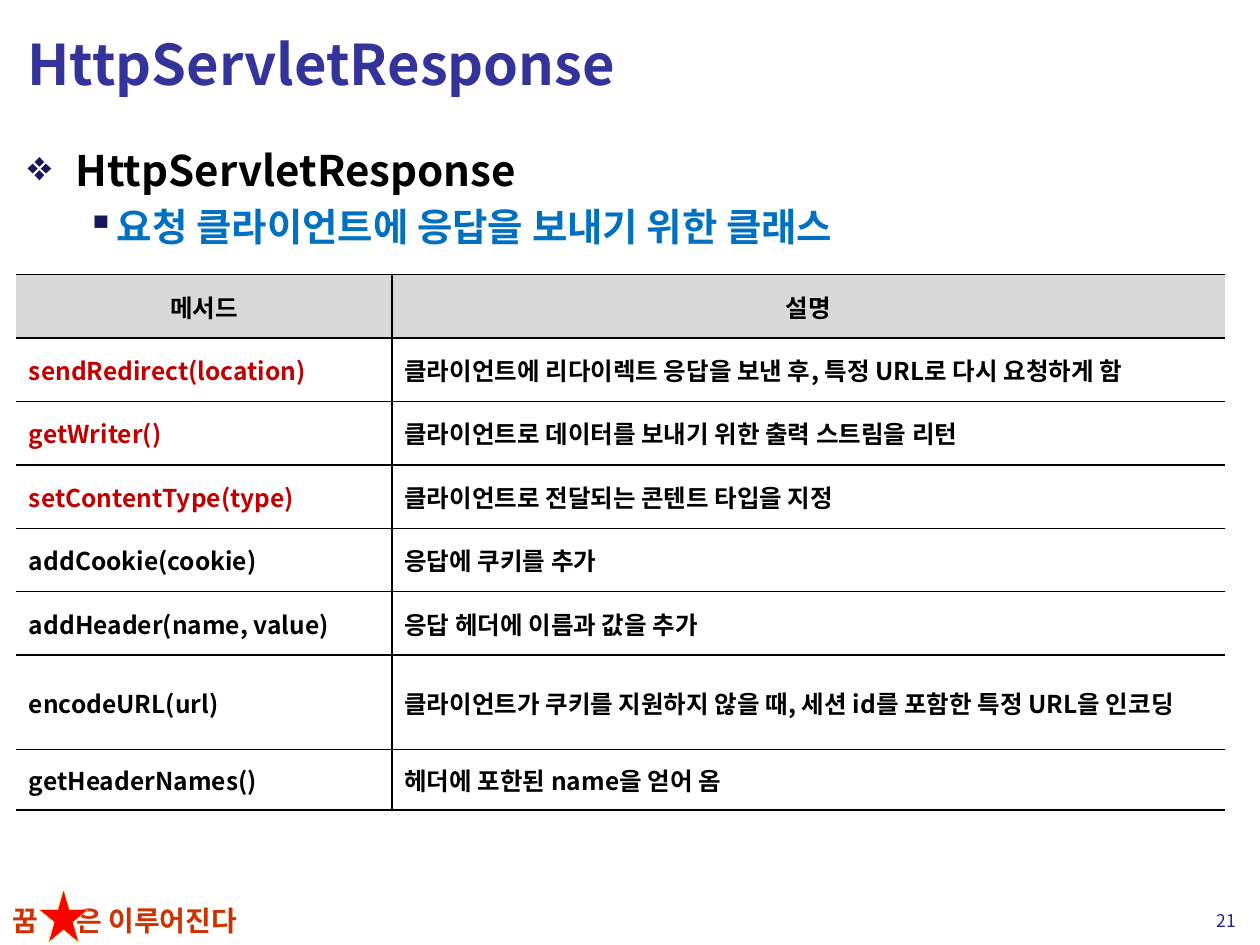
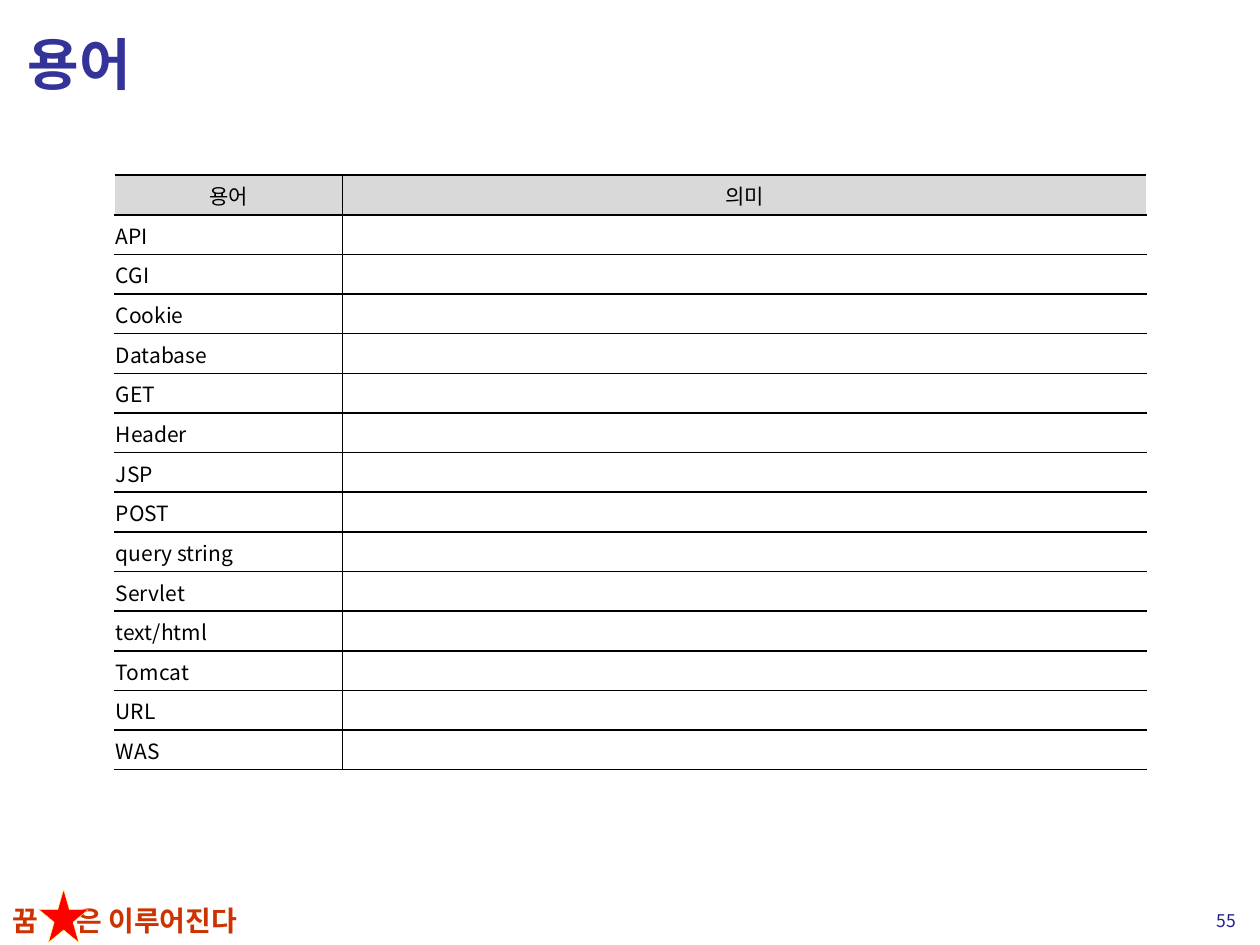
from dataclasses import dataclass
from typing import NamedTuple

from lxml.etree import SubElement
from pptx import Presentation
from pptx.dml.color import RGBColor
from pptx.enum.shapes import MSO_SHAPE as Shape
from pptx.enum.text import MSO_ANCHOR as Anchor, PP_ALIGN as Align
from pptx.oxml import parse_xml
from pptx.oxml.ns import nsdecls, qn
from pptx.util import Inches, Pt


@dataclass(frozen=True)
class Theme:
    font: str = "Noto Sans CJK KR"
    title: str = "333399"
    ink: str = "000000"
    paper: str = "FFFFFF"
    head: str = "D9D9D9"
    key: str = "C00000"
    note: str = "0070C0"
    bullet: str = "17175C"
    motto: str = "CC3300"
    star: str = "FF0000"
    edge: str = "FFFF66"
    page: str = "22228B"
    title_pt: int = 32
    topic_pt: int = 24
    note_pt: int = 22
    motto_pt: int = 16
    cell_pt: int = 14
    term_pt: int = 12
    page_pt: int = 10


T = Theme()


class Box(NamedTuple):
    left: float
    top: float
    width: float
    height: float

    def emu(self) -> list:
        return [Inches(n) for n in self]


class Style(NamedTuple):
    size: int
    color: str
    bold: bool = False
    align: Align = Align.LEFT


class Point(NamedTuple):
    text: str
    style: Style
    mark: str
    margin: float
    indent: float
    before: float


class Grid(NamedTuple):
    box: Box
    cols: list
    heights: list
    rows: list
    style: Style
    pads: tuple  # left, top, right, bottom
    fill: str = ""
    side: str = ""  # colour of the outer left and right edges
    keys: int = 0  # rows whose first cell is set in the key colour


def rgb(code: str) -> RGBColor:
    return RGBColor.from_string(code)


def write(para, text: str, style: Style) -> None:
    para.alignment = style.align
    run = para.add_run()
    run.text = text
    form = {"name": T.font, "size": Pt(style.size), "bold": style.bold}
    for name, value in form.items():
        setattr(run.font, name, value)
    run.font.color.rgb = rgb(style.color)
    SubElement(run.font._element, qn("a:ea"), typeface=T.font)


def add_box(slide, box: Box, anchor: Anchor = Anchor.TOP):
    frame = slide.shapes.add_textbox(*box.emu()).text_frame
    frame.word_wrap = True
    frame.vertical_anchor = anchor
    return frame


def add_motto(slide) -> None:
    para = add_box(slide, Box(0, 7.12, 2.48, 0.37)).paragraphs[0]
    tabs = SubElement(para._p.get_or_add_pPr(), qn("a:tabLst"))
    SubElement(tabs, qn("a:tab"), pos=str(Inches(0.51)), algn="l")
    write(para, "꿈\t은 이루어진다", Style(T.motto_pt, T.motto, True))
    star = slide.shapes.add_shape(Shape.STAR_5_POINT,
                                  *Box(0.31, 7.06, 0.39, 0.42).emu())
    star.shadow.inherit = False
    star.fill.solid()
    star.fill.fore_color.rgb = rgb(T.star)
    star.line.color.rgb = rgb(T.edge)
    star.line.width = Pt(0.25)


def add_page(deck, title: str, number: int):
    """Add a slide with the shared title, motto and page number."""
    slide = deck.slides.add_slide(deck.slide_layouts[6])
    add_motto(slide)
    head = add_box(slide, Box(0.12, 0.06, 9.76, 0.88), Anchor.MIDDLE)
    write(head.paragraphs[0], title, Style(T.title_pt, T.title, True))
    foot = add_box(slide, Box(9.33, 7.15, 0.58, 0.31), Anchor.MIDDLE)
    write(foot.paragraphs[0], str(number),
          Style(T.page_pt, T.page, align=Align.RIGHT))
    return slide


def add_points(slide, box: Box, points: list) -> None:
    frame = add_box(slide, box)
    frame.margin_top = Inches(0.08)
    for i, point in enumerate(points):
        para = frame.add_paragraph() if i else frame.paragraphs[0]
        props = para._p.get_or_add_pPr()
        props.set("marL", str(Inches(point.margin)))
        props.set("indent", str(Inches(point.indent)))
        tint = SubElement(props, qn("a:buClr"))
        SubElement(tint, qn("a:srgbClr"), val=T.bullet)
        SubElement(props, qn("a:buChar"), char=point.mark)
        para.level = i
        para.space_before = Pt(point.before)
        write(para, point.text, point.style)


def set_edges(cell, colors: dict) -> None:
    """Draw each side of a cell in its colour, or not at all if blank."""
    props = cell._tc.get_or_add_tcPr()
    for i, (side, color) in enumerate(colors.items()):
        ink = (f'<a:solidFill><a:srgbClr val="{color}"/></a:solidFill>'
               if color else "<a:noFill/>")
        props.insert(i, parse_xml(
            f'<a:ln{side} {nsdecls("a")} w="{Pt(1)}">{ink}</a:ln{side}>'))


def fill_cell(cell, grid: Grid, row: int, col: int, text: str) -> None:
    for side, pad in zip(("left", "top", "right", "bottom"), grid.pads):
        setattr(cell, f"margin_{side}", Inches(pad))
    cell.vertical_anchor = Anchor.MIDDLE
    fill = grid.fill if row else T.head
    if fill:
        cell.fill.solid()
        cell.fill.fore_color.rgb = rgb(fill)
    else:
        cell.fill.background()
    last = col == len(grid.cols) - 1
    set_edges(cell, {"L": T.ink if col else grid.side,
                     "R": grid.side if last else T.ink,
                     "T": T.ink, "B": T.ink})
    para = cell.text_frame.paragraphs[0]
    style = grid.style
    if row == 0:
        style = style._replace(align=Align.CENTER)
    elif col == 0 and row <= grid.keys:
        style = style._replace(color=T.key)
    if text:
        write(para, text, style)
    else:
        SubElement(para._p, qn("a:endParaRPr"), sz=str(style.size * 100))


def add_grid(slide, grid: Grid) -> None:
    table = slide.shapes.add_table(len(grid.rows), len(grid.cols),
                                   *grid.box.emu()).table
    table.first_row = table.horz_banding = False
    for col, width in zip(table.columns, grid.cols):
        col.width = Inches(width)
    for row, height in zip(table.rows, grid.heights):
        row.height = Inches(height)
    for r, texts in enumerate(grid.rows):
        for c, text in enumerate(texts):
            fill_cell(table.cell(r, c), grid, r, c, text)


POINTS = [
    Point("HttpServletResponse", Style(T.topic_pt, T.ink, True),
          "❖", 0.38, -0.38, 0),
    Point("요청 클라이언트에 응답을 보내기 위한 클래스",
          Style(T.note_pt, T.note, True), "▪", 0.71, -0.24, 4.4),
]
METHODS = [
    ("메서드", "설명"),
    ("sendRedirect(location)",
     "클라이언트에 리다이렉트 응답을 보낸 후, 특정 URL로 다시 요청하게 함"),
    ("getWriter()", "클라이언트로 데이터를 보내기 위한 출력 스트림을 리턴"),
    ("setContentType(type)", "클라이언트로 전달되는 콘텐트 타입을 지정"),
    ("addCookie(cookie)", "응답에 쿠키를 추가"),
    ("addHeader(name, value)", "응답 헤더에 이름과 값을 추가"),
    ("encodeURL(url)",
     "클라이언트가 쿠키를 지원하지 않을 때, 세션 id를 포함한 특정 URL을 인코딩"),
    ("getHeaderNames()", "헤더에 포한된 name을 얻어 옴"),
]
TERMS = ["API", "CGI", "Cookie", "Database", "GET", "Header", "JSP", "POST",
         "query string", "Servlet", "text/html", "Tomcat", "URL", "WAS"]


def response_slide(deck) -> None:
    slide = add_page(deck, "HttpServletResponse", 21)
    add_points(slide, Box(0.12, 1.07, 9.79, 6.04), POINTS)
    box = Box(0.13, 2.18, 9.59, 4.25)
    tail = [0.75, 0.48]
    plain = len(METHODS) - len(tail)
    heights = [(box.height - sum(tail)) / plain] * plain + tail
    add_grid(slide, Grid(box, [2.98, 6.61], heights, METHODS,
                         Style(T.cell_pt, T.ink, True), (0.1, 0, 0.1, 0),
                         keys=3))


def terms_slide(deck) -> None:
    slide = add_page(deck, "용어", 55)
    box = Box(0.91, 1.39, 8.19, 4.72)
    rows = [("용어", "의미")] + [(term, "") for term in TERMS]
    heights = [box.height / len(rows)] * len(rows)
    add_grid(slide, Grid(box, [1.81, 6.38], heights, rows,
                         Style(T.term_pt, T.ink), (0.01, 0.01, 0.01, 0),
                         fill=T.paper, side=T.paper))


def main() -> None:
    deck = Presentation()
    deck.slide_width, deck.slide_height = Inches(10), Inches(7.5)
    response_slide(deck)
    terms_slide(deck)
    deck.save("out.pptx")


if __name__ == "__main__":
    main()
